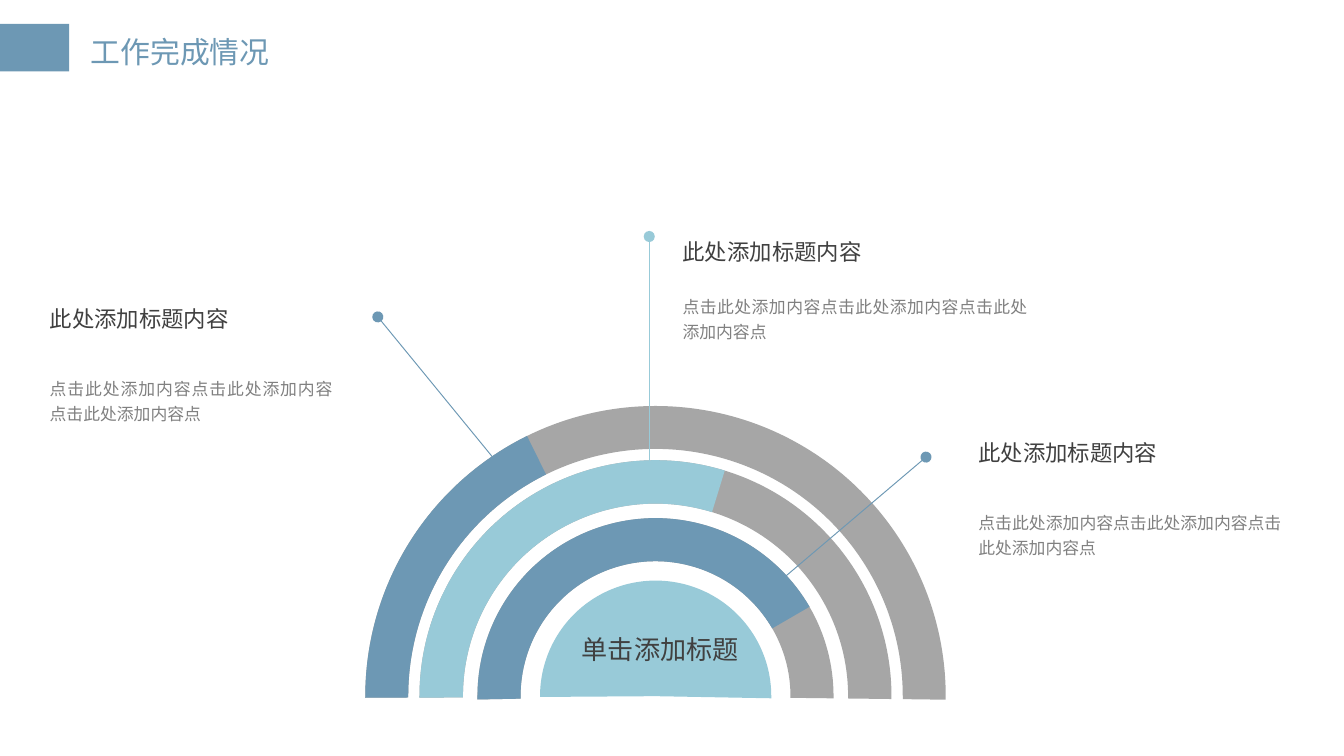
from dataclasses import dataclass

from lxml import etree
from pptx import Presentation
from pptx import util as u
from pptx.dml.color import RGBColor
from pptx.enum import shapes, text
from pptx.oxml.ns import qn

BLUE = RGBColor(0x6D, 0x98, 0xB4)
TEAL = RGBColor(0x98, 0xCA, 0xD8)
GREY = RGBColor(0xA6, 0xA6, 0xA6)
HEADING_COLOR = RGBColor(0x40, 0x40, 0x40)
BODY_COLOR = RGBColor(0x80, 0x80, 0x80)
FONT = "Noto Sans CJK SC"
CENTER_X, CENTER_Y = 12.39, 13.16
TRACK_START = 107.58
HEADING = "此处添加标题内容"
BODY = "点击此处添加内容点击此处添加内容点击此处添加内容点"


@dataclass
class Ring:
    diameter: float
    progress_start: float
    end: float
    thickness: float
    color: RGBColor


@dataclass
class Pointer:
    start: tuple[float, float]
    end: tuple[float, float]
    color: RGBColor


@dataclass
class Callout:
    left: float
    heading_top: float
    heading_width: float
    heading_wrap: bool
    body_top: float
    body_width: float


RINGS = [
    Ring(10.97, 177.77, 0.19, 0.074, BLUE),
    Ring(8.92, 151.76, 0.22, 0.092, TEAL),
    Ring(6.73, 126.08, 0.64, 0.121, BLUE),
]
POINTERS = [
    Pointer((7.14, 5.99), (9.58, 8.97), BLUE),
    Pointer((12.27, 4.47), (12.27, 9.17), TEAL),
    Pointer((17.5, 8.64), (14.45, 11.23), BLUE),
]
CALLOUTS = [
    Callout(0.69, 5.64, 6.12, True, 6.93, 5.84),
    Callout(12.65, 4.37, 3.94, False, 5.38, 7.01),
    Callout(18.24, 8.18, 3.94, False, 9.47, 6.22),
]


def add_filled(slide, kind, left: float, top: float, width: float, height: float,
               color: RGBColor, adjustments: tuple = ()):
    shape = slide.shapes.add_shape(kind, u.Cm(left), u.Cm(top), u.Cm(width), u.Cm(height))
    shape.shadow.inherit = False
    shape.fill.solid()
    shape.fill.fore_color.rgb = color
    shape.line.fill.background()
    for index, value in enumerate(adjustments):
        shape.adjustments[index] = value
    return shape


def add_round(slide, kind, diameter: float, color: RGBColor, adjustments: tuple):
    return add_filled(slide, kind, CENTER_X - diameter / 2, CENTER_Y - diameter / 2,
                      diameter, diameter, color, adjustments)


def add_ring(slide, ring: Ring) -> None:
    for start, color in ((TRACK_START, GREY), (ring.progress_start, ring.color)):
        arc = add_round(slide, shapes.MSO_SHAPE.BLOCK_ARC, ring.diameter, color,
                        (start, ring.end / 100 if ring.end > 1 else ring.end, ring.thickness))
        arc.element.spPr.xfrm.set("flipH", "1")


def add_pointer(slide, pointer: Pointer) -> None:
    ends = [u.Cm(value) for value in (*pointer.start, *pointer.end)]
    connector = slide.shapes.add_connector(shapes.MSO_CONNECTOR.STRAIGHT, *ends)
    connector.line.color.rgb = pointer.color
    connector.line.width = u.Pt(0.5)
    outline = connector.line._get_or_add_ln()
    for tag in ("a:headEnd", "a:tailEnd"):
        etree.SubElement(outline, qn(tag)).set("type", "oval")
    etree.SubElement(connector.element.spPr, qn("a:effectLst"))


def add_text(slide, content: str, left: float, top: float, width: float, height: float,
             size: float, color: RGBColor, wrap: bool = True, align=None,
             spacing: float | None = None, insets: tuple[float, float] = (0.25, 0.13)) -> None:
    box = slide.shapes.add_textbox(u.Cm(left), u.Cm(top), u.Cm(width), u.Cm(height))
    frame = box.text_frame
    frame.word_wrap = wrap
    frame.auto_size = text.MSO_AUTO_SIZE.SHAPE_TO_FIT_TEXT
    frame.margin_left = frame.margin_right = u.Cm(insets[0])
    frame.margin_top = frame.margin_bottom = u.Cm(insets[1])
    frame.text = content
    paragraph = frame.paragraphs[0]
    paragraph.alignment = align
    paragraph.line_spacing = spacing
    for run in paragraph.runs:
        run.font.size = u.Pt(size)
        run.font.name = FONT
        run.font.color.rgb = color
        etree.SubElement(run.font._element, qn("a:ea")).set("typeface", FONT)


def add_callout(slide, callout: Callout) -> None:
    add_text(slide, BODY, callout.left, callout.body_top, callout.body_width, 1.17,
             9, BODY_COLOR, align=text.PP_ALIGN.JUSTIFY, spacing=1.25)
    add_text(slide, HEADING, callout.left, callout.heading_top, callout.heading_width, 0.76,
             12, HEADING_COLOR, wrap=callout.heading_wrap)


def main() -> None:
    presentation = Presentation()
    presentation.slide_width = u.Cm(25.4)
    presentation.slide_height = u.Cm(14.29)
    slide = presentation.slides.add_slide(presentation.slide_layouts[6])

    add_filled(slide, shapes.MSO_SHAPE.RECTANGLE, 0, 0.45, 1.31, 0.9, BLUE)
    add_text(slide, "工作完成情况", 1.52, 0.53, 3.81, 0.89, 16, BLUE,
             wrap=False, insets=(0.2, 0.1))

    for ring in RINGS:
        add_ring(slide, ring)
    core = add_round(slide, shapes.MSO_SHAPE.PIE, 4.37, TEAL, (53.76, 162.63))
    core.rotation = 90
    add_text(slide, "单击添加标题", 9.8, 11.79, 5.36, 0.94, 14, HEADING_COLOR,
             align=text.PP_ALIGN.CENTER, insets=(0.33, 0.18))

    for pointer in POINTERS:
        add_pointer(slide, pointer)
    for callout in CALLOUTS:
        add_callout(slide, callout)

    presentation.save("out.pptx")


if __name__ == "__main__":
    main()
